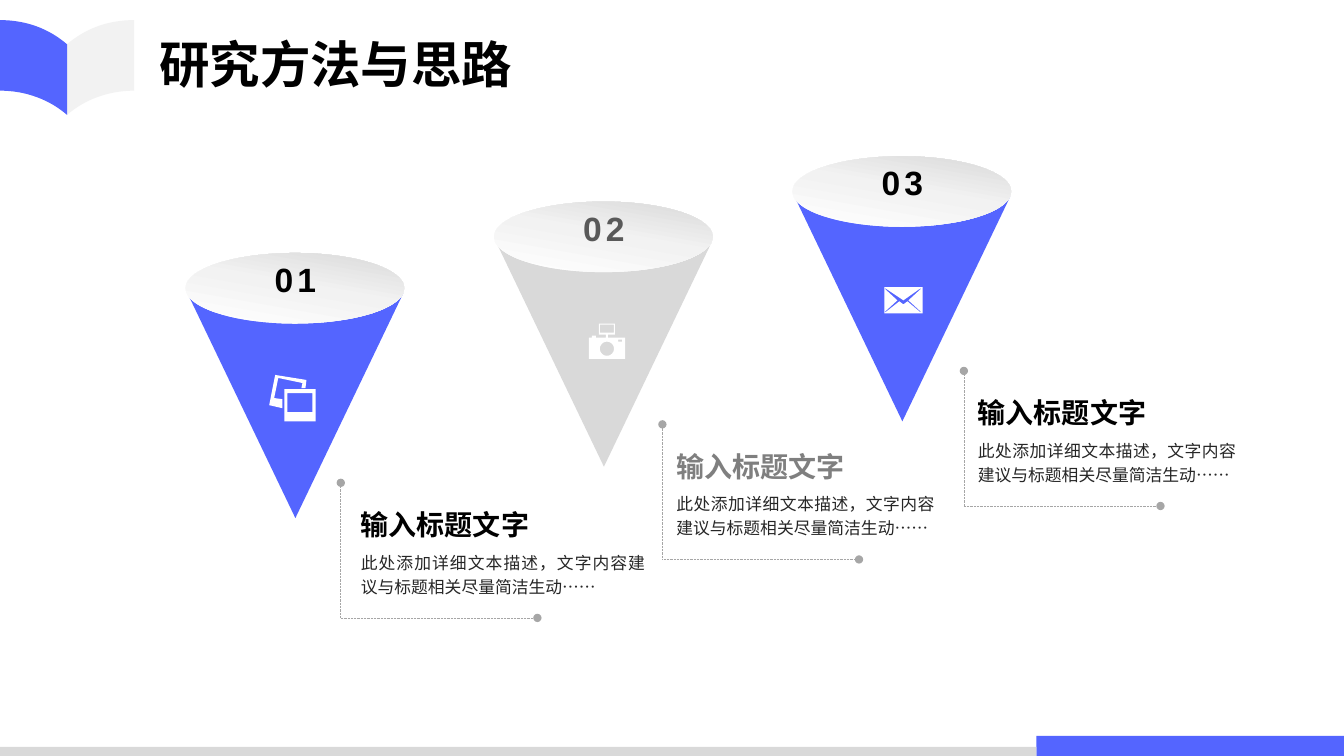
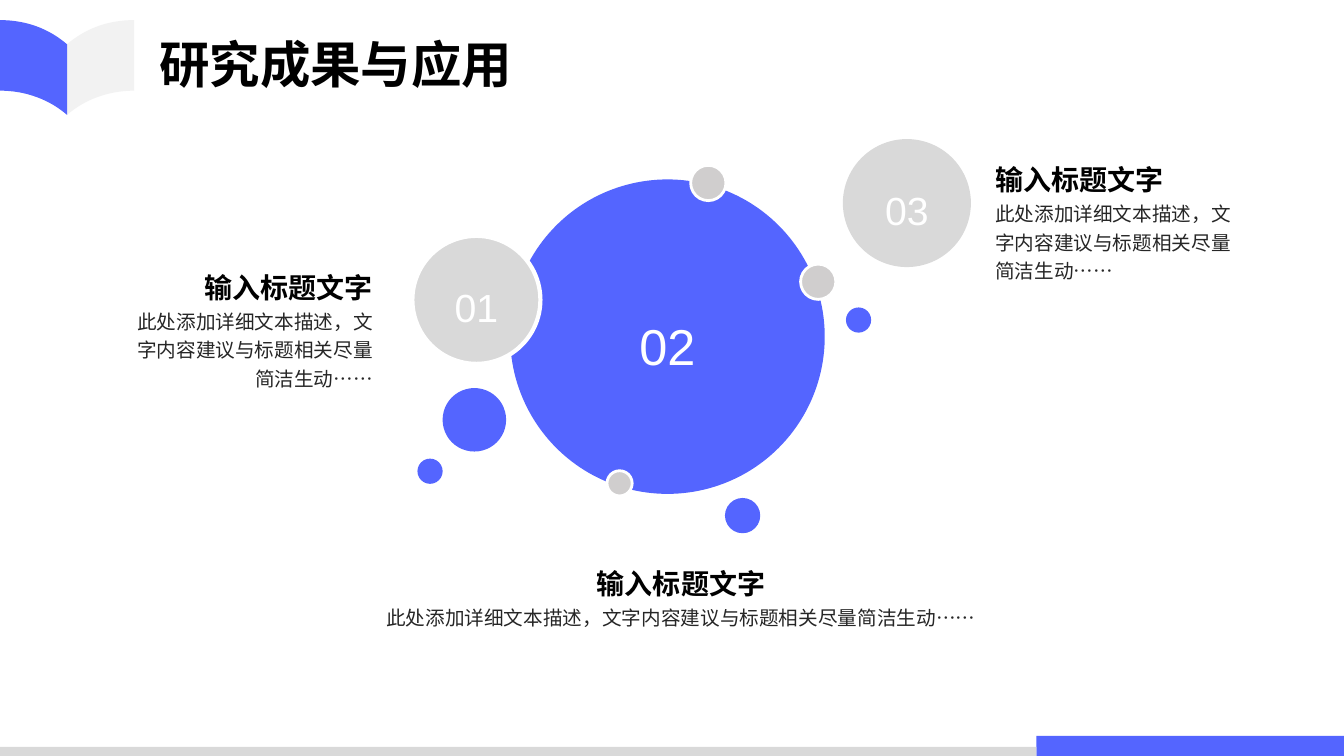
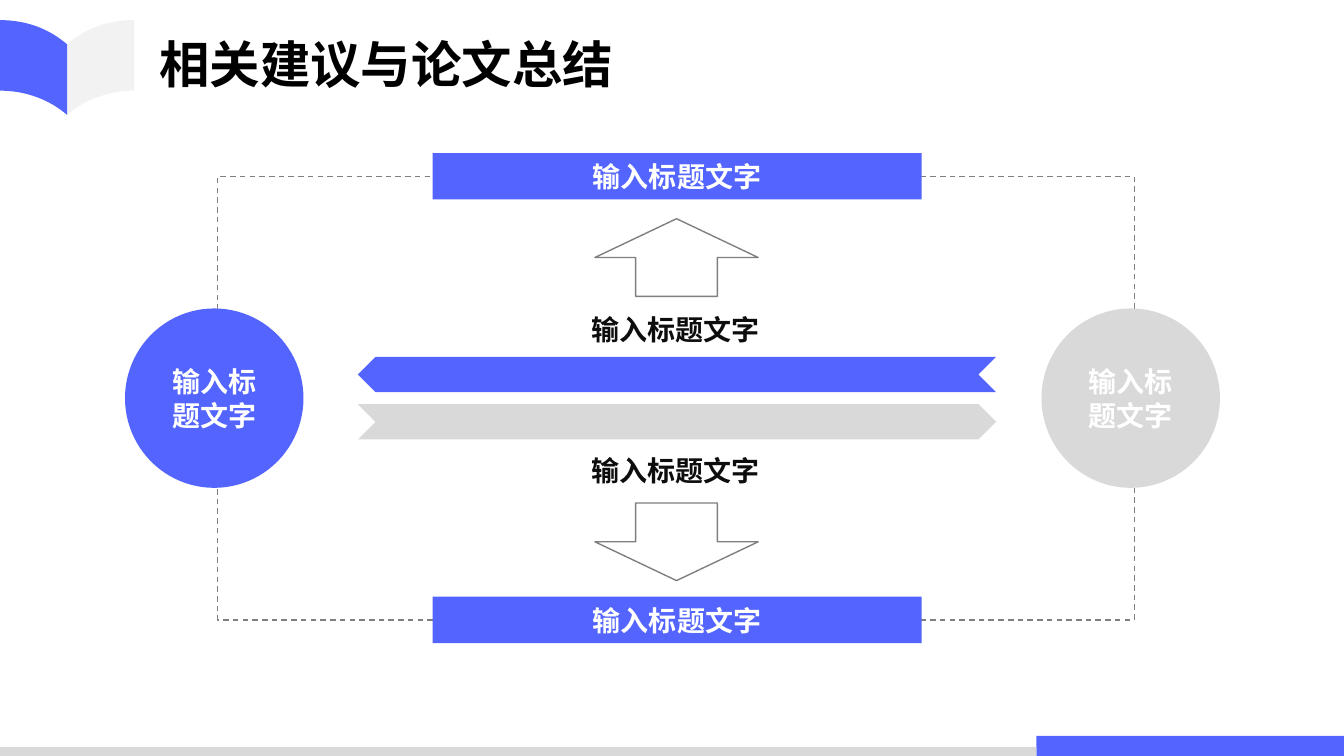
from copy import deepcopy
from math import cos, pi, sin

from lxml.etree import SubElement
from pptx import Presentation
from pptx.dml.color import RGBColor
from pptx.enum.dml import MSO_LINE as Dash
from pptx.enum.shapes import MSO_CONNECTOR as Link, MSO_SHAPE as Preset
from pptx.enum.text import MSO_ANCHOR as Anchor, MSO_AUTO_SIZE as Fit, PP_ALIGN as Align
from pptx.oxml.ns import qn
from pptx.util import Inches, Pt

COLS, ROWS = 13.33, 7.5
BLUE, SILVER, PALE, PEARL = "5465FF", "D9D9D9", "F2F2F2", "D0CECE"
WHITE, BLACK, INK, SMOKE, ASH = "FFFFFF", "000000", "262626", "7F7F7F", "A6A6A6"
CJK = "Noto Sans CJK SC"
HEADING = "输入标题文字"
DETAIL = "此处添加详细文本描述，文字内容建议与标题相关尽量简洁生动……"
HEAD_FONT = {"size": Pt(20), "bold": True}
FLUSH = dict.fromkeys(("margin_left", "margin_top", "margin_right", "margin_bottom"), 0)


def rgb(color):
    """Turn a hex string into a colour."""
    return RGBColor.from_string(color)


def assign(target, values):
    """Set each attribute named in a dict of format values."""
    for name, value in values.items():
        setattr(target, name, value)


def cells(*lengths):
    """Convert grid cells, one inch each, to slide units."""
    return [Inches(length) for length in lengths]


def dress(shape, fill=None, line=None):
    """Give a shape its fill, its outline and no shadow."""
    shape.shadow.inherit = False
    if fill:
        shape.fill.solid()
        shape.fill.fore_color.rgb = rgb(fill)
    else:
        shape.fill.background()
    if line:
        outline(shape, *line)
    else:
        shape.line.fill.background()
    return shape


def outline(shape, color, width, dash=None):
    """Set colour, width and dash of a line."""
    shape.line.color.rgb = rgb(color)
    assign(shape.line, {"width": Pt(width), "dash_style": dash})


def preset(slide, kind, box, fill=None, line=None):
    """Add a preset shape in a box."""
    return dress(slide.shapes.add_shape(kind, *cells(*box)), fill, line)


def outlined(slide, contours, fill, left=0, top=0):
    """Add a freeform of closed contours, offset by left and top."""
    placed = [[cells(left + x, top + y) for x, y in contour] for contour in contours]
    builder = slide.shapes.build_freeform(*placed[0][0])
    for index, contour in enumerate(placed):
        if index:
            builder.move_to(*contour[0])
        builder.add_line_segments(contour[1:], close=True)
    return dress(builder.convert_to_shape(), fill)


def write(frame, words, color, font, align=Align.LEFT, spacing=None, space=None, latin="Arial"):
    """Fill a text frame with one formatted paragraph."""
    assign(frame, {"word_wrap": True, **(space or {})})
    paragraph = frame.paragraphs[0]
    assign(paragraph, {"alignment": align, "line_spacing": spacing})
    run = paragraph.add_run()
    run.text = words
    assign(run.font, {"name": latin, **font})
    run.font.color.rgb = rgb(color)
    SubElement(run.font._element, qn("a:ea"), typeface=CJK)
    return run


def caption(slide, box, words, color, font, align=Align.LEFT, spacing=1.2, space=None):
    """Add a text box that grows with its text."""
    frame = slide.shapes.add_textbox(*cells(*box)).text_frame
    space = {"auto_size": Fit.SHAPE_TO_FIT_TEXT, **(space or {})}
    return write(frame, words, color, font, align, spacing, space)


def label(shape, color=WHITE):
    """Write the heading in the middle of a shape."""
    write(shape.text_frame, HEADING, color, HEAD_FONT, Align.CENTER,
          space={"vertical_anchor": Anchor.MIDDLE})


def rectangle(left, top, right, bottom):
    """Return the corners of a rectangle."""
    return [(left, top), (right, top), (right, bottom), (left, bottom)]


def ring(x, y, radius, steps=32):
    """Return points around a circle."""
    turns = [2 * pi * step / steps for step in range(steps)]
    return [(x + radius * cos(turn), y + radius * sin(turn)) for turn in turns]


def curve(*controls, steps=16):
    """Return points along a cubic curve."""
    points = []
    for step in range(steps + 1):
        t = step / steps
        weights = ((1 - t) ** 3, 3 * t * (1 - t) ** 2, 3 * t * t * (1 - t), t ** 3)
        points.append(tuple(sum(w * c[axis] for w, c in zip(weights, controls)) for axis in (0, 1)))
    return points


PHOTOS = [
    rectangle(0.98, 1.35, 1.29, 1.67), rectangle(1.01, 1.39, 1.26, 1.58),
    [(0.89, 1.21), (1.2, 1.26), (1.19, 1.34), (1.15, 1.34), (1.16, 1.29),
     (0.92, 1.24), (0.88, 1.44), (0.96, 1.45), (0.96, 1.54), (0.83, 1.51)],
]
CAMERA = [
    [(1.13, 1.35), (1.13, 1.32), (1.2, 1.32), (1.2, 1.21), (1.04, 1.21), (1.04, 1.32),
     (1.11, 1.32), (1.11, 1.35), (1.01, 1.35), (1.01, 1.33), (0.97, 1.33), (0.97, 1.35),
     (0.94, 1.35), (0.94, 1.56), (1.3, 1.56), (1.3, 1.35)],
    rectangle(1.05, 1.22, 1.19, 1.3), ring(1.12, 1.46, 0.07), rectangle(1.23, 1.37, 1.27, 1.39),
]
ENVELOPE = [
    rectangle(0.91, 1.3, 1.29, 1.56),
    [(1.27, 1.32), (1.15, 1.43), (1.27, 1.54), (1.27, 1.55), (1.14, 1.44), (1.1, 1.47),
     (1.06, 1.44), (0.92, 1.55), (0.92, 1.54), (1.04, 1.43), (0.92, 1.32), (0.92, 1.31),
     (1.1, 1.43), (1.27, 1.31)],
]


def book(slide, width, top):
    """Draw the two mirrored pages of the open book."""
    page = (curve((0, 0.7), (0.39, 0.7), (0.74, 0.79), (1, 0.94))
            + curve((1, 0.24), (0.72, 0.08), (0.38, 0), (0, 0)))
    half = width / 2
    right = [[((2 - x) * half, y) for x, y in page]]
    left = [[(x * half, y) for x, y in page]]
    return [outlined(slide, right, PALE, top=top), outlined(slide, left, BLUE, top=top)]


def footer(slide, split):
    """Draw the two bands along the lower edge."""
    return [preset(slide, Preset.RECTANGLE, (split, ROWS - 0.2, COLS - split, 0.2), BLUE),
            preset(slide, Preset.RECTANGLE, (0, ROWS - 0.09, split, 0.09), SILVER)]


def prepare(layout):
    """Place the title and drop the unused placeholders of the layout."""
    title, *unused = layout.placeholders
    for placeholder in unused:
        layout.shapes.element.remove(placeholder.element)
    assign(title, dict(zip(("left", "top", "width", "height"), cells(1.58, 0.42, 4.71, 0.42))))


def titled(deck, layout, words):
    """Add a slide with its title."""
    slide = deck.slides.add_slide(layout)
    write(slide.shapes.title.text_frame, words, BLACK, {"size": Pt(36), "bold": True}, latin=CJK,
          space={"vertical_anchor": Anchor.MIDDLE, "auto_size": Fit.NONE,
                 "margin_left": 0, "margin_right": 0})
    return slide


def funnel(slide, left, top, number, fill, ink, icon):
    """Draw a cone with a shaded lid, a number and an icon."""
    cone = [(2.09, 0.39), (2.16, 0.4), (1.09, 2.63), (0.02, 0.4), (0.1, 0.39)]
    outlined(slide, [cone], fill, left, top)
    lid = preset(slide, Preset.OVAL, (left, top, 2.17, 0.7))
    lid.fill.gradient()
    lid.fill.gradient_angle = 80
    stops = lid.element.find(".//" + qn("a:gsLst"))
    stops.insert(1, deepcopy(stops[0]))
    shades = ((0, WHITE), (0.53, PALE), (1, SILVER))
    for stop, (position, shade) in zip(lid.fill.gradient_stops, shades):
        stop.color.rgb = rgb(shade)
        stop.position = position
    run = caption(slide, (left + 0.76, top - 0.07, 0.66, 0.54), number, ink,
                  {"size": Pt(24), "bold": True}, Align.CENTER, space={"word_wrap": False})
    run.font._element.set("spc", "300")
    outlined(slide, icon, WHITE, left, top)


def callout(slide, left, bottom, indent, width, ink):
    """Place a heading and a detail in a dotted corner."""
    for right, top in ((left + 1.95, bottom), (left, bottom - 1.34)):
        arm = slide.shapes.add_connector(Link.STRAIGHT, *cells(left, bottom, right, top))
        outline(arm, ASH, 0.5, Dash.ROUND_DOT)
        SubElement(arm.element.find(".//" + qn("a:ln")), qn("a:tailEnd"), type="oval")
        SubElement(arm.element.spPr, qn("a:effectLst"))
    caption(slide, (left + indent, bottom - 1.21, 2.09, 0.48), HEADING, ink, HEAD_FONT)
    caption(slide, (left + indent, bottom - 0.74, width, 0.57), DETAIL, INK,
            {"size": Pt(12)}, Align.JUSTIFY)


def bubble(slide, left, top, side, number, size, fill, line=None):
    """Draw a circle with a centred number."""
    preset(slide, Preset.OVAL, (left, top, side, side), fill, line)
    height = size * 1.32 / 72
    caption(slide, (left + (side - 0.66) / 2, top + (side - height) / 2, 0.66, height), number,
            WHITE, {"size": Pt(size)}, Align.CENTER, space=FLUSH)


def summary(slide, left, top, width, height, align):
    """Stack a heading on a detail, both aligned to one side."""
    share = {Align.LEFT: 0, Align.CENTER: 0.5, Align.RIGHT: 1}[align]
    caption(slide, (left, top + 0.41, width, height), DETAIL, INK, {"size": Pt(14)}, align,
            space=FLUSH)
    caption(slide, (left + (width - 1.72) * share, top, 1.72, 0.38), HEADING, BLACK, HEAD_FONT,
            align, space=FLUSH)


def methods(slide):
    """Fill the slide of three rising funnels."""
    funnel(slide, 7.86, 1.55, "03", BLUE, BLACK, ENVELOPE)
    funnel(slide, 4.9, 2, "02", SILVER, "595959", CAMERA)
    funnel(slide, 1.84, 2.51, "01", BLUE, BLACK, PHOTOS)
    callout(slide, 3.38, 6.13, 0.1, 3.02, BLACK)
    callout(slide, 6.57, 5.55, 0.04, 2.76, SMOKE)
    callout(slide, 9.56, 5.02, 0.04, 2.76, BLACK)


def results(slide):
    """Fill the slide of numbered circles."""
    bubble(slide, 5.06, 1.78, 3.12, "02", 36, BLUE)
    for left, top, side in ((6.85, 1.64, 0.35), (6.02, 4.67, 0.25), (7.94, 2.62, 0.35)):
        preset(slide, Preset.OVAL, (left, top, side, side), PEARL, (WHITE, 2))
    for left, top, side in ((8.39, 3.05, 0.25), (7.19, 4.94, 0.35),
                            (4.39, 3.85, 0.63), (4.14, 4.55, 0.25)):
        preset(slide, Preset.OVAL, (left, top, side, side), BLUE)
    bubble(slide, 4.09, 2.34, 1.27, "01", 28, SILVER, (WHITE, 3))
    bubble(slide, 8.36, 1.38, 1.27, "03", 28, SILVER)
    summary(slide, 1.24, 2.62, 2.46, 0.85, Align.RIGHT)
    summary(slide, 9.87, 1.55, 2.46, 0.85, Align.LEFT)
    summary(slide, 3.64, 5.55, 6.23, 0.28, Align.CENTER)


def ribbon(slide, left, top, width, height, fill, leftward=False):
    """Draw a notched band that points to one side."""
    notch = height / 2
    band = [(0, 0), (width - notch, 0), (width, notch), (width - notch, height),
            (0, height), (notch, notch)]
    if leftward:
        band = [(width - x, y) for x, y in band]
    outlined(slide, [band], fill, left, top)


def conclusions(slide):
    """Fill the slide of the dashed loop."""
    preset(slide, Preset.RECTANGLE, (2.16, 1.75, 9.09, 4.4), line=(SMOKE, 1, Dash.DASH))
    for left, fill in ((1.24, BLUE), (10.33, SILVER)):
        label(preset(slide, Preset.OVAL, (left, 3.06, 1.77, 1.78), fill))
    for top in (3.05, 4.45):
        caption(slide, (5.77, top, 1.88, 0.44), HEADING, "0D0D0D", HEAD_FONT, spacing=None,
                space={"word_wrap": False})
    for kind, top in ((Preset.UP_ARROW, 2.17), (Preset.DOWN_ARROW, 4.99)):
        preset(slide, kind, (5.9, top, 1.62, 0.77), line=(SMOKE, 1))
    for top in (5.92, 1.52):
        label(preset(slide, Preset.RECTANGLE, (4.29, top, 4.85, 0.46), BLUE))
    ribbon(slide, 3.55, 4.01, 6.33, 0.35, SILVER)
    ribbon(slide, 3.55, 3.54, 6.33, 0.35, BLUE, leftward=True)


def main():
    """Build and save the deck."""
    deck = Presentation()
    assign(deck, dict(zip(("slide_width", "slide_height"), cells(COLS, ROWS))))
    layout = deck.slide_layouts.get_by_name("Title Only")
    prepare(layout)
    chapters = {"研究方法与思路": methods, "研究成果与应用": results, "相关建议与论文总结": conclusions}
    slides = [titled(deck, layout, words) for words in chapters]
    for part in book(slides[0], 1.33, 0.2) + footer(slides[0], 10.28):
        layout.shapes.element.append(part.element)
    for slide, fill_slide in zip(slides, chapters.values()):
        fill_slide(slide)
    deck.save("out.pptx")


if __name__ == "__main__":
    main()
